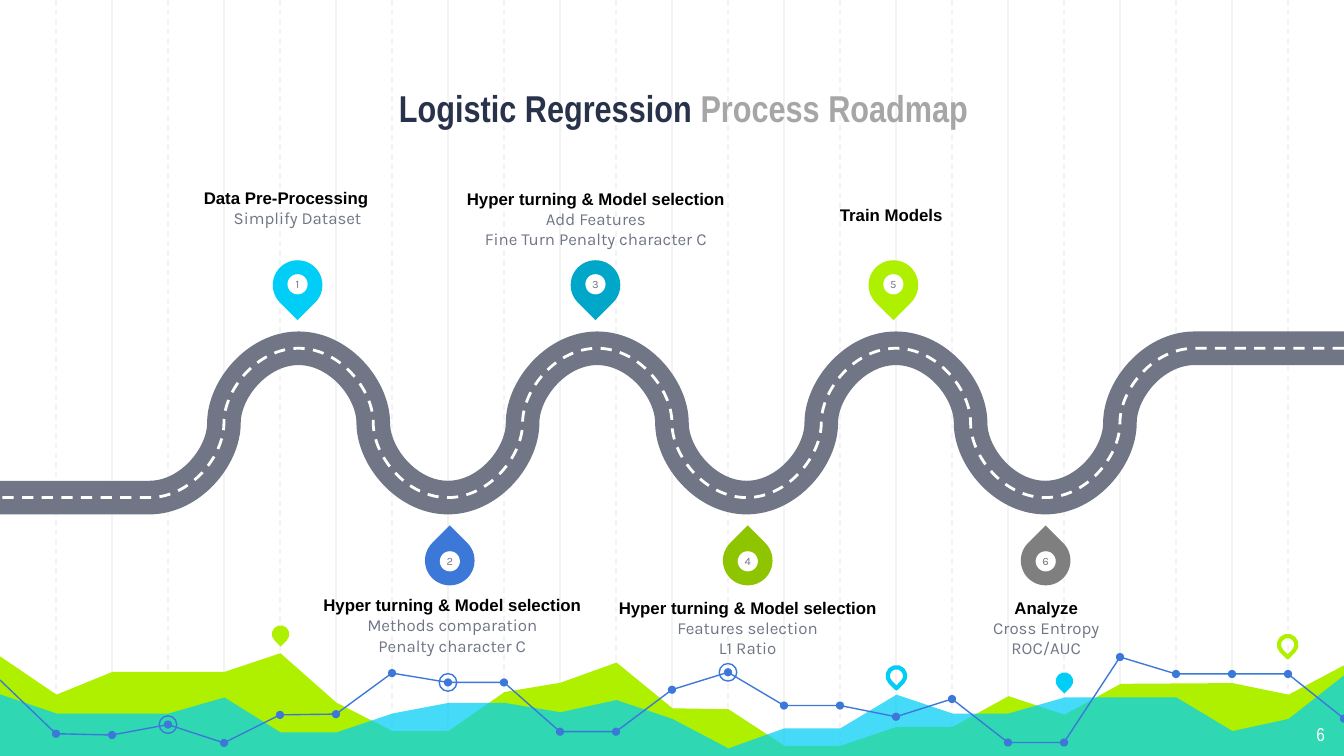
from lxml.etree import SubElement
from pptx import Presentation
from pptx.dml.color import RGBColor
from pptx.enum.dml import MSO_LINE
from pptx.enum.shapes import MSO_CONNECTOR, MSO_SHAPE
from pptx.enum.text import MSO_ANCHOR, MSO_AUTO_SIZE, PP_ALIGN
from pptx.oxml.ns import qn
from pptx.util import Pt

COLORS = {
    "grid": "F3F3F3", "lime": "AFF000", "cyan": "00CEF6", "blue": "3C78D8",
    "teal": "00A7C8", "green": "8EC400", "gray": "7F7F7F", "slate": "707685",
    "navy": "28324A", "silver": "A6A6A6", "white": "FFFFFF", "black": "000000",
}
RGB = {name: RGBColor.from_string(value) for name, value in COLORS.items()}

deck = Presentation()
deck.slide_width, deck.slide_height = Pt(720), Pt(405)
page = deck.slides.add_slide(deck.slide_layouts[5])
shapes = page.shapes


def paint(shape, fill=None, line=None, width=0.75):
    shape.shadow.inherit = False
    if fill:
        shape.fill.solid()
        shape.fill.fore_color.rgb = RGB[fill]
    else:
        shape.fill.background()
    if line:
        shape.line.color.rgb = RGB[line]
        shape.line.width = Pt(width)
    else:
        shape.line.fill.background()
    return shape


def add_outline(points, close=False):
    corners = [(Pt(x), Pt(y)) for x, y in points]
    builder = shapes.build_freeform(*corners[0])
    builder.add_line_segments(corners[1:], close=close)
    return builder.convert_to_shape()


STEP = 30
for first in (2, 1):
    for column in range(first, 24, 2):
        rule = shapes.add_connector(
            MSO_CONNECTOR.STRAIGHT, Pt(column * STEP), Pt(0), Pt(column * STEP), Pt(406.8))
        rule.line.color.rgb = RGB["grid"]
        rule.line.width = Pt(0.75)
        if first == 1:
            rule.line.dash_style = MSO_LINE.DASH
        SubElement(rule.element.spPr, qn("a:effectLst"))

edge_x = {0: -1.5, 24: 721.5}
lime_heights = [350.6, 372.2, 360, None, 360, 350, 376.5, 391.7, 391.7, 370.8, 365.8, 355,
                379.5, 380, 399.6, 399.6, 389.5, 389.5, 373, 383, 366.4, None, 366, 372.2, 355.7]
cyan_heights = [371.5, 382.3, None, 382.3, 373.7, 392.4, 392.4, 382.3, 376.6, 376.6, 381.6,
                375.1, 385.2, 401, 390.2, 390.2, 372.2, 382.3, 382.3, 373.7, None, 373.7,
                391.7, 385.2, 360.7]
for color, heights in (("lime", lime_heights), ("cyan", cyan_heights)):
    ridge = [(edge_x.get(column, column * STEP + 0.3), y)
             for column, y in enumerate(heights) if y]
    area = paint(add_outline(ridge + [(721.5, 406.4), (-2.2, 406.4)], close=True), color)
    if color == "cyan":
        SubElement(area.element.spPr.find(".//" + qn("a:srgbClr")), qn("a:alpha"), val="73000")

marks = [(MSO_SHAPE.TEAR, 150.3, 339.7, 9.4, "lime", None),
         (MSO_SHAPE.TEAR, 480.2, 362.1, 9.4, None, "cyan"),
         (MSO_SHAPE.TEAR, 570.2, 364.9, 9.4, "cyan", None),
         (MSO_SHAPE.TEAR, 689.8, 345.4, 9.4, None, "lime")]

trend_heights = [364.3, 393.1, 393.8, 388.2, 398, 383, 382.6, 360.6, 365.6, 365.6, 392, 392,
                 369.5, 360.2, 378, 378, 384, 374.5, 397.8, 397.8, 352, 361.1, 361.1, 361.1, 385]
trend = [(column * STEP, y) for column, y in enumerate(trend_heights)]
for start, end in ((0, 11), (11, 20), (20, 24)):
    paint(add_outline(trend[start:end + 1]), line="blue")
marks += [(MSO_SHAPE.OVAL, x, y, 4.4, "blue", None) for x, y in trend[1:]]
marks += [(MSO_SHAPE.OVAL, *trend[column], 9.4, None, "blue") for column in (8, 3, 13)]
for kind, x, y, size, fill, line in marks:
    mark = shapes.add_shape(kind, Pt(x - size / 2), Pt(y - size / 2), Pt(size), Pt(size))
    paint(mark, fill, line, 2.25 if kind == MSO_SHAPE.TEAR else 0.75)
    mark.rotation = 135 if kind == MSO_SHAPE.TEAR else 0

title = shapes.title
shapes.element.append(title.element)
title.left, title.top, title.width, title.height = Pt(90.8), Pt(20.6), Pt(550.8), Pt(56.2)
number_box = shapes.add_textbox(Pt(673.7), Pt(380.2), Pt(43.2), Pt(25.2))
for box, alignment, anchor, size, bold, runs in (
        (title, PP_ALIGN.CENTER, MSO_ANCHOR.BOTTOM, 20, True,
         [("Logistic Regression ", "navy"), ("Process Roadmap", "silver")]),
        (number_box, PP_ALIGN.RIGHT, MSO_ANCHOR.TOP, 10, False, [("6", "white")])):
    frame = box.text_frame
    frame.word_wrap = True
    frame.auto_size = MSO_AUTO_SIZE.NONE
    frame.vertical_anchor = anchor
    frame.margin_left = frame.margin_right = frame.margin_top = frame.margin_bottom = Pt(7.2)
    para = frame.paragraphs[0]
    para.alignment = alignment
    for text, color in runs:
        span = para.add_run()
        span.text = text
        span.font.name, span.font.size, span.font.bold = "Arial Narrow", Pt(size), bold
        span.font.color.rgb = RGB[color]

BEND, RADIUS, MIDDLE, HANDLE = 80, 40, 226.6, 18
road = [(720, MIDDLE - RADIUS), (640, MIDDLE - RADIUS)]
for turn in range(7):
    x = 600 - BEND * turn
    rise = RADIUS if turn % 2 else -RADIUS
    bow = HANDLE if turn % 2 else -HANDLE
    road += [(x + HANDLE, MIDDLE + rise), (x, MIDDLE + bow), (x, MIDDLE),
             (x, MIDDLE - bow), (x - HANDLE, MIDDLE - rise), (x - RADIUS, MIDDLE - rise)]
road.append((0, MIDDLE + RADIUS))
for color, width in (("slate", 18), ("white", 1.5)):
    lane = paint(add_outline(road), line=color, width=width)
    segments = lane.element.spPr.findall(".//" + qn("a:lnTo"))
    for index in range(1, len(segments) - 1, 3):
        curve = segments[index]
        parent = curve.getparent()
        bezier = SubElement(parent, qn("a:cubicBezTo"))
        parent.replace(curve, bezier)
        for segment in segments[index:index + 3]:
            bezier.append(segment[0])
            if segment is not curve:
                parent.remove(segment)
    if color == "white":
        lane.line.dash_style = MSO_LINE.DASH

stages = [
    ("cyan", 108.7, 90.7, 96.5, 7.5, 10.5, 12.4, "Data Pre-Processing", ["Simplify Dataset"]),
    ("blue", 170.6, 318.7, 143.3, 0, 0, 0, "Hyper turning & Model selection",
     ["Methods comparation", "Penalty character C"]),
    ("teal", 248.9, 91.7, 140.4, 0, 0, 0, "Hyper turning & Model selection",
     ["Add Features", "Fine Turn Penalty character C"]),
    ("green", 327.8, 320.1, 145.4, 0, 0, 0, "Hyper turning & Model selection",
     ["Features selection", "L1 Ratio"]),
    ("lime", 427.8, 95, 101.5, 2.3, 21.8, 0, "Train Models", []),
    ("gray", 509.7, 320.1, 101.5, 0, 0, 0, "Analyze", ["Cross Entropy", "ROC/AUC"]),
]
PIN, BADGE, LABEL_HEIGHT = 26.6, 10.8, 41.8
for number, stage in enumerate(stages, 1):
    color, left, top, width, right_inset, bottom_inset, indent, heading, details = stage
    above = number % 2 == 1
    x = 79.8 * (number + 1) + (-0.2 if above else 1.6)
    pin_y, badge_y = (152.7, 152.3) if above else (300.3, 300.7)
    pin = shapes.add_shape(
        MSO_SHAPE.TEAR, Pt(x - PIN / 2), Pt(pin_y - PIN / 2), Pt(PIN), Pt(PIN))
    paint(pin, color).rotation = 135 if above else 315
    badge = shapes.add_shape(
        MSO_SHAPE.OVAL, Pt(x - BADGE / 2), Pt(badge_y - BADGE / 2), Pt(BADGE), Pt(BADGE))
    paint(badge, "white")
    label = shapes.add_textbox(Pt(left), Pt(top), Pt(width), Pt(LABEL_HEIGHT))
    rows = [(badge, str(number), "Karla", 6, "slate", False),
            (label, heading, "Arial", 9, "black", True)]
    rows += [(label, detail, "Karla", 9, "slate", False) for detail in details]
    for shape, text, font, size, ink, bold in rows:
        frame = shape.text_frame
        frame.word_wrap = shape is label
        frame.margin_left = frame.margin_right = frame.margin_top = frame.margin_bottom = Pt(0)
        frame.vertical_anchor = MSO_ANCHOR.MIDDLE
        if shape is label:
            frame.margin_right, frame.margin_bottom = Pt(right_inset), Pt(bottom_inset)
            frame.vertical_anchor = MSO_ANCHOR.BOTTOM if above else MSO_ANCHOR.TOP
        para = frame.add_paragraph() if text in details else frame.paragraphs[0]
        para.alignment = PP_ALIGN.CENTER
        if indent and text in details:
            para._p.get_or_add_pPr().set("marL", str(Pt(indent)))
        span = para.add_run()
        span.text = text
        span.font.name, span.font.size, span.font.bold = font, Pt(size), bold
        span.font.color.rgb = RGB[ink]

deck.save("out.pptx")
